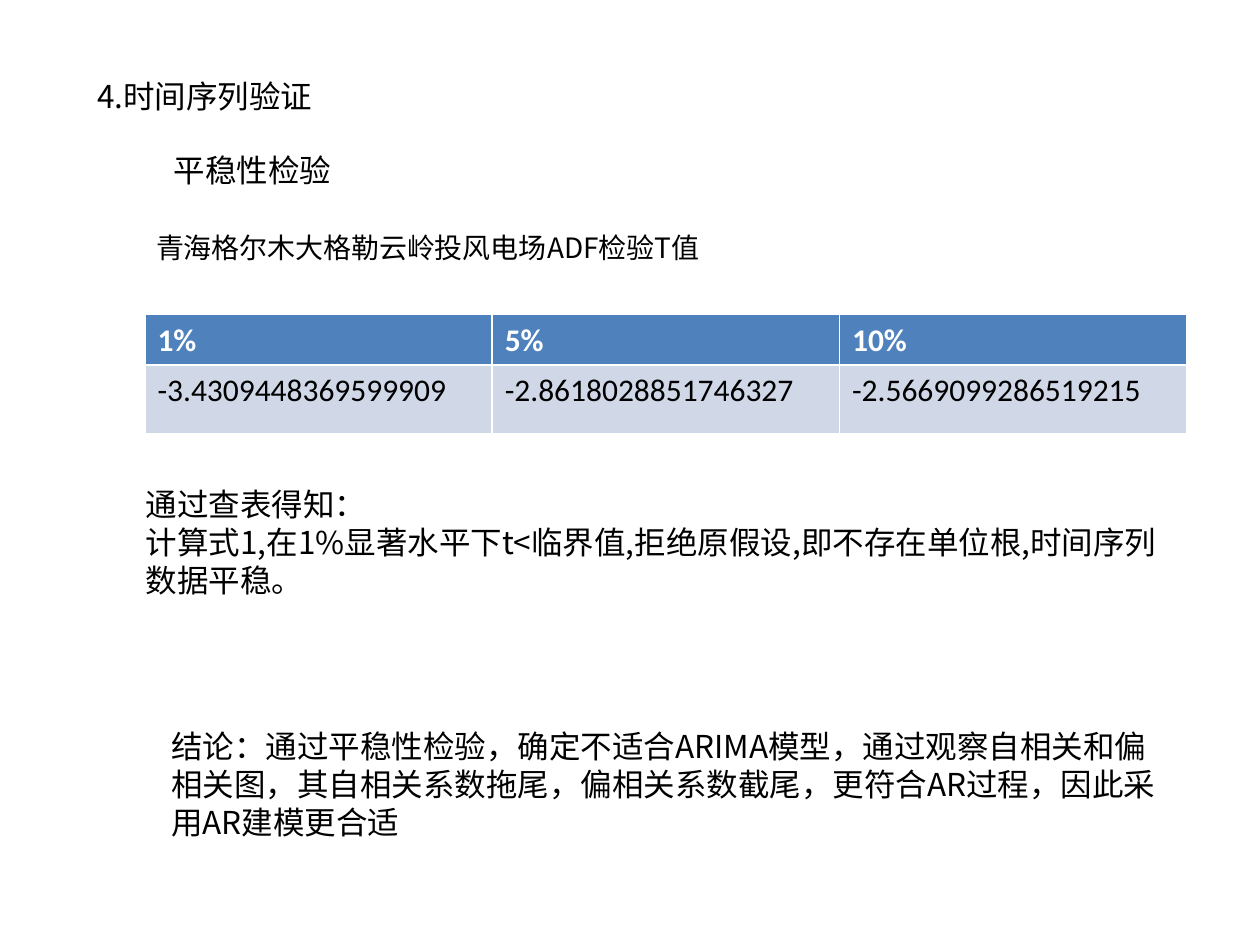
from lxml.etree import SubElement
from pptx import Presentation
from pptx.dml.color import RGBColor
from pptx.enum.text import MSO_ANCHOR, MSO_AUTO_SIZE, PP_ALIGN
from pptx.oxml.ns import qn
from pptx.util import Inches, Pt

BLACK = RGBColor(0x00, 0x00, 0x00)
WHITE = RGBColor(0xFF, 0xFF, 0xFF)
BLUE = RGBColor(0x4F, 0x81, 0xBD)
PALE = RGBColor(0xD0, 0xD8, 0xE8)
CJK = "Noto Sans CJK SC"

prs = Presentation()
prs.slide_width, prs.slide_height = Inches(10), Inches(7.5)
W, H = prs.slide_width, prs.slide_height
slide = prs.slides.add_slide(prs.slide_layouts[5])


def write(tf, *lines, size=18, font=CJK, color=BLACK, bold=False):
    for i, line in enumerate(lines):
        p = tf.add_paragraph() if i else tf.paragraphs[0]
        p.alignment = PP_ALIGN.LEFT
        r = p.add_run()
        r.text = line
        r.font.size, r.font.name, r.font.bold = Pt(size), font, bold
        r.font.color.rgb = color
        SubElement(r.font._element, qn("a:ea"), typeface=font)


def place(sp, x, y, w, h, wrap=True):
    sp.left, sp.top, sp.width, sp.height = int(x * W), int(y * H), int(w * W), int(h * H)
    tf = sp.text_frame
    tf.word_wrap = wrap
    tf.auto_size = MSO_AUTO_SIZE.SHAPE_TO_FIT_TEXT
    tf.vertical_anchor = MSO_ANCHOR.TOP
    return tf


write(place(slide.shapes.title, 0.067, 0.075, 0.268, 0.054), "4.时间序列验证")

texts = [
    (["平稳性检验"], (0.128, 0.153, 0.146, 0.054, False), 18),
    (["青海格尔木大格勒云岭投风电场ADF检验T值"], (0.114, 0.237, 0.535, 0.049), 16),
    (["通过查表得知：",
      "计算式1,在1%显著水平下t<临界值,拒绝原假设,即不存在单位根,时间序列数据平稳。"],
     (0.106, 0.507, 0.843, 0.135), 18),
    (["结论：通过平稳性检验，确定不适合ARIMA模型，通过观察自相关和偏相关图，"
      "其自相关系数拖尾，偏相关系数截尾，更符合AR过程，因此采用AR建模更合适"],
     (0.126, 0.763, 0.803, 0.135), 18),
]
for lines, box, size in texts:
    write(place(slide.shapes.add_textbox(0, 0, 0, 0), *box), *lines, size=size)

rows = [
    (["1%", "5%", "10%"], 0.053, BLUE, WHITE, True),
    (["-3.4309448369599909", "-2.8618028851746327", "-2.5669099286519215"],
     0.073, PALE, BLACK, False),
]
table = slide.shapes.add_table(2, 3, int(0.115 * W), int(0.333 * H),
                               int(0.827 * W), int(0.126 * H)).table
for i, (values, height, fill, color, bold) in enumerate(rows):
    table.rows[i].height = int(height * H)
    for cell, value in zip(table.rows[i].cells, values):
        cell.fill.solid()
        cell.fill.fore_color.rgb = fill
        write(cell.text_frame, value, font="Calibri", color=color, bold=bold)

prs.save("out.pptx")
